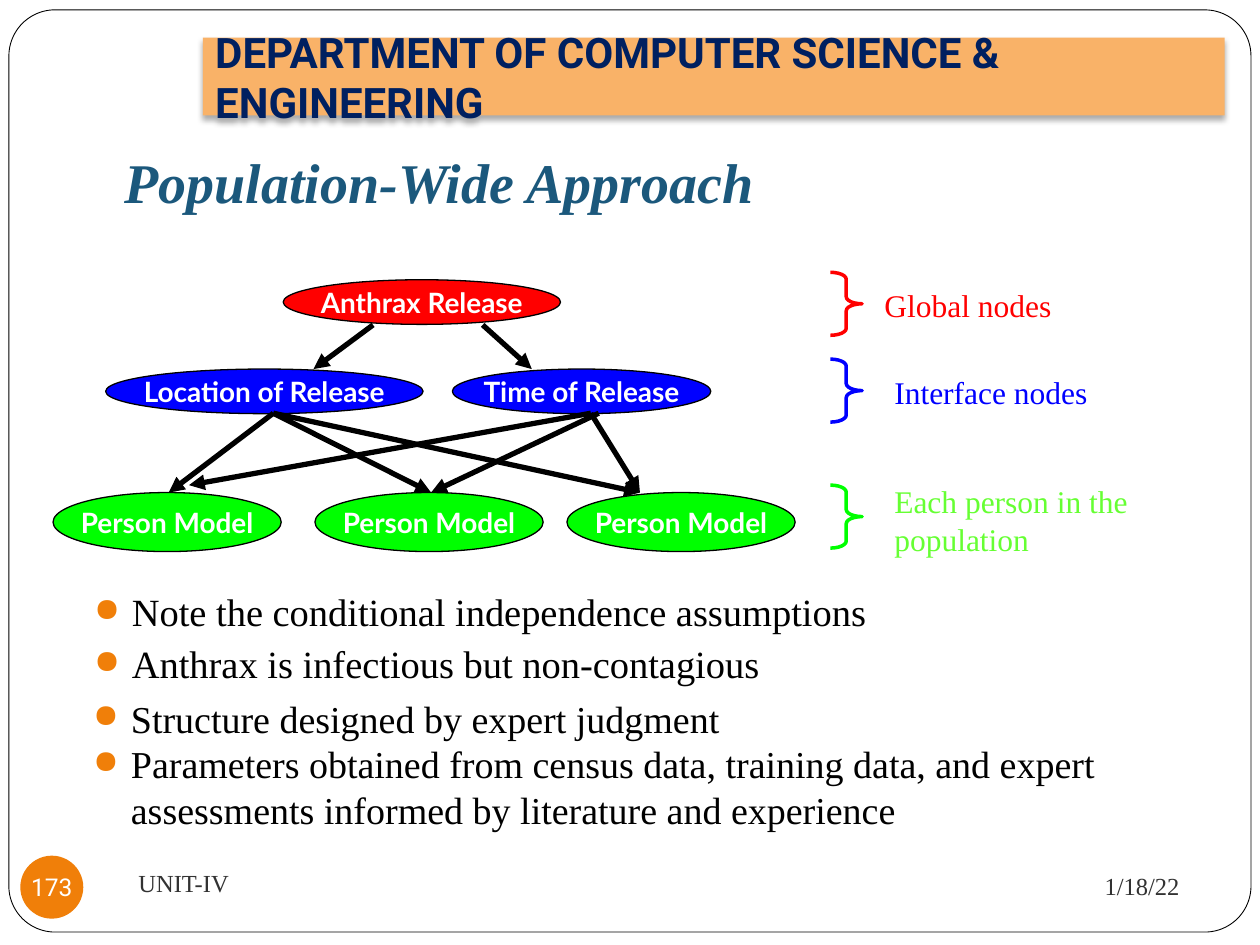
from lxml.etree import SubElement
from pptx import Presentation
from pptx.dml.color import RGBColor
from pptx.enum.shapes import MSO_CONNECTOR, MSO_SHAPE
from pptx.enum.text import MSO_ANCHOR, PP_ALIGN
from pptx.oxml import parse_xml
from pptx.oxml.ns import nsdecls, qn
from pptx.util import Cm, Pt

WHITE, BLACK = RGBColor(255, 255, 255), RGBColor(0, 0, 0)
RED, BLUE, GREEN = RGBColor(255, 0, 0), RGBColor(0, 0, 255), RGBColor(0, 255, 0)
LIME = RGBColor(0x66, 0xFF, 0x33)
ORANGE, PEACH = RGBColor(0xF0, 0x7F, 0x09), RGBColor(0xF9, 0xB2, 0x68)
NAVY, TEAL = RGBColor(0x00, 0x20, 0x60), RGBColor(0x1B, 0x58, 0x7C)
OUTLINE, GREY = RGBColor(0x37, 0x67, 0x2C), RGBColor(0x32, 0x32, 0x32)
SERIF, SANS, NODE_FONT = "Times New Roman", "Roboto", "Lato"

# Lengths are in centimetres. Layer: top, height, colour, nodes (text, left, width)
PERSON, PERSON_WIDTH = "Person Model", 4.6
LAYERS = [
    (5.64, 0.9, RED, [("Anthrax Release", 5.71, 5.59)]),
    (7.44, 0.9, BLUE, [("Location of Release", 2.13, 6.4),
                       ("Time of Release", 9.12, 5.21)]),
    (9.93, 1.19, GREEN, [(PERSON, left, PERSON_WIDTH)
                         for left in (1.07, 6.35, 11.43)]),
]
LOCATION, TIME = (5.51, 8.33), (11.91, 8.33)
PERSON_2, PERSON_3 = (8.69, 9.93), (12.9, 9.93)
ARROWS = [
    ((7.52, 6.55), (6.32, 7.44)),
    ((9.73, 6.55), (10.72, 7.44)),
    (LOCATION, (3.4, 9.93)),
    (LOCATION, PERSON_2),
    (LOCATION, PERSON_3),
    (TIME, (3.81, 9.78)),
    ((12.07, 8.33), PERSON_2),
    (TIME, PERSON_3),
]
# Brace top, brace colour, label, label box, label colour
LEGEND = [
    (5.49, RED, "Global nodes", (17.58, 5.64, 5.08, 1.02), RED),
    (7.24, BLUE, "Interface nodes", (17.78, 7.39, 6.35, 1.02), BLUE),
    (9.78, GREEN, "Each person in the population", (17.78, 9.6, 6.35, 1.8), LIME),
]
# Box, size, line spacing, space before later paragraphs, texts
NOTES = [
    ((1.65, 11.84, 22.86, 2.44), 22, 0.9, 5.8,
     ["Note the conditional independence assumptions",
      "Anthrax is infectious but non-contagious"]),
    ((1.63, 13.89, 22.86, 3.23), 21.7, 1.0, 0,
     ["Structure designed by expert judgment",
      "Parameters obtained from census data, training data, and expert "
      "assessments informed by literature and experience"]),
]


def style(font, name, size, color, bold=False, italic=False):
    font.name, font.size, font.bold, font.italic = name, Pt(size), bold, italic
    font.color.rgb = color


def write(shape, text, *font, anchor=MSO_ANCHOR.TOP, align=PP_ALIGN.LEFT, wrap=True):
    """Put one styled paragraph in the shape and return its run."""
    frame = shape.text_frame
    frame.text = text
    frame.word_wrap, frame.vertical_anchor = wrap, anchor
    paragraph = frame.paragraphs[0]
    paragraph.alignment = align
    style(paragraph.runs[0].font, *font)
    return paragraph.runs[0]


def add_box(slide, box):
    textbox = slide.shapes.add_textbox(*map(Cm, box))
    textbox.text_frame.word_wrap = True
    return textbox


def add_preset(slide, preset, box, fill=None, line=None, width=0.75):
    shape = slide.shapes.add_shape(preset, *map(Cm, box))
    shape.shadow.inherit = False
    if fill is None:
        shape.fill.background()
    else:
        shape.fill.solid()
        shape.fill.fore_color.rgb = fill
    if line is None:
        shape.line.fill.background()
    else:
        shape.line.color.rgb = line
        shape.line.width = Pt(width)
    return shape


def add_arrow(slide, start, end):
    arrow = slide.shapes.add_connector(MSO_CONNECTOR.STRAIGHT, *map(Cm, start + end))
    arrow.line.color.rgb = BLACK
    arrow.line.width = Pt(3)
    SubElement(arrow.line._get_or_add_ln(), qn("a:tailEnd"), type="triangle")
    SubElement(arrow._element.spPr, qn("a:effectLst"))


def add_bullet(paragraph):
    properties = paragraph._p.get_or_add_pPr()
    indent = Cm(0.76)
    properties.set("marL", str(indent))
    properties.set("indent", str(-indent))
    color = SubElement(properties, qn("a:buClr"))
    SubElement(color, qn("a:srgbClr"), val=str(ORANGE))
    SubElement(properties, qn("a:buSzPct"), val="85000")
    SubElement(properties, qn("a:buChar"), char="●")


def add_notes(slide, box, size, line_spacing, space_before, texts):
    frame = add_box(slide, box).text_frame
    frame.text = "\n".join(texts)
    for index, paragraph in enumerate(frame.paragraphs):
        add_bullet(paragraph)
        paragraph.line_spacing = line_spacing
        paragraph.space_before = Pt(space_before if index else 0)
        style(paragraph.runs[0].font, SERIF, size, BLACK)


def add_banner(slide):
    banner = add_preset(slide, MSO_SHAPE.RECTANGLE, (4.09, 0.76, 20.6, 1.57), PEACH)
    effects = banner._element.spPr.find(qn("a:effectLst"))
    shadow = SubElement(effects, qn("a:outerShdw"), blurRad=str(Pt(3.5)),
                        dist=str(Pt(2.2)), dir="5400000", rotWithShape="0")
    shade = SubElement(shadow, qn("a:srgbClr"), val=str(BLACK))
    SubElement(shade, qn("a:alpha"), val="32000")
    heading = write(banner, "DEPARTMENT OF COMPUTER SCIENCE & ENGINEERING",
                    SANS, 24, NAVY, True, anchor=MSO_ANCHOR.MIDDLE)
    heading._r.get_or_add_rPr().insert(0, parse_xml(
        f'<a:ln {nsdecls("a")} w="{Pt(0.71)}"><a:solidFill>'
        f'<a:srgbClr val="{OUTLINE}"/></a:solidFill></a:ln>'))


def add_footer(slide):
    middle = MSO_ANCHOR.MIDDLE
    write(add_box(slide, (17.15, 17.2, 6.88, 1.32)), "1/18/22", SERIF, 14, GREY,
          anchor=middle, align=PP_ALIGN.RIGHT)
    write(add_box(slide, (2.54, 17.15, 11, 1.27)), "UNIT-IV", SERIF, 14, GREY,
          anchor=middle)
    badge = add_preset(slide, MSO_SHAPE.OVAL, (0.41, 17.25, 1.27, 1.27), ORANGE)
    frame = badge.text_frame
    frame.margin_left = frame.margin_right = frame.margin_top = frame.margin_bottom = 0
    write(badge, "173", SANS, 14, WHITE, anchor=middle, align=PP_ALIGN.CENTER, wrap=False)


def main():
    deck = Presentation()
    deck.slide_width, deck.slide_height = Cm(25.4), Cm(19.05)
    slide = deck.slides.add_slide(deck.slide_layouts[6])

    border = add_preset(slide, MSO_SHAPE.ROUNDED_RECTANGLE, (0.18, 0.2, 25.04, 18.59),
                        WHITE, BLACK, 0.5)
    border.adjustments[0] = 0.05
    add_banner(slide)
    title = add_box(slide, (2.26, 1.4, 21.59, 3.18))
    title.text_frame.margin_bottom = Cm(0.25)
    write(title, "Population-Wide Approach", SERIF, 32, TEAL, True, True,
          anchor=MSO_ANCHOR.BOTTOM)
    add_footer(slide)

    for top, height, color, nodes in LAYERS:
        for text, left, width in nodes:
            node = add_preset(slide, MSO_SHAPE.OVAL, (left, top, width, height),
                              color, BLACK)
            write(node, text, NODE_FONT, 16, WHITE, True, anchor=MSO_ANCHOR.MIDDLE,
                  align=PP_ALIGN.CENTER, wrap=False)
    for start, end in ARROWS:
        add_arrow(slide, start, end)
    for top, color, label, box, label_color in LEGEND:
        brace = add_preset(slide, MSO_SHAPE.RIGHT_BRACE, (16.74, top, 0.64, 1.27),
                           line=color, width=2)
        brace.adjustments[0] = 0.22
        write(add_box(slide, box), label, SERIF, 18, label_color)
    for note in NOTES:
        add_notes(slide, *note)

    deck.save("out.pptx")


if __name__ == "__main__":
    main()
